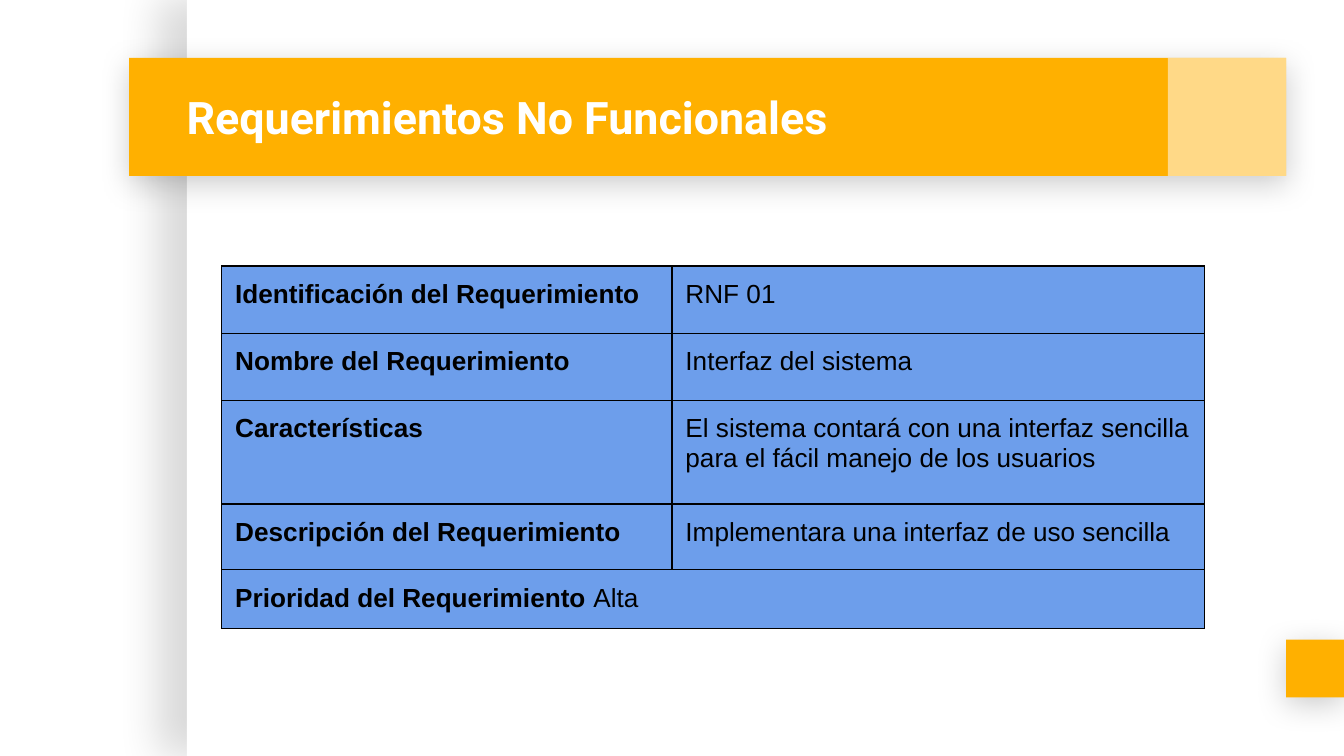
from lxml.etree import SubElement
from pptx import Presentation
from pptx.dml.color import RGBColor
from pptx.enum.shapes import MSO_SHAPE as Shape
from pptx.enum.text import MSO_ANCHOR as Anchor
from pptx.oxml import parse_xml
from pptx.oxml.ns import nsdecls, qn
from pptx.util import Inches, Pt

AMBER, WHITE, BLACK, BLUE = "FFB000", "FFFFFF", "000000", "6D9EEB"
LOW = (20, 16.9, 3.8, 90)
SIDE = (15, 22.5, 15, 180)


def paint(fill, color, alpha=None):
    """Fill solidly with a hex colour, at an optional percent opacity."""
    fill.solid()
    fill.fore_color.rgb = RGBColor.from_string(color)
    if alpha:
        tint = fill._xPr.find(qn("a:solidFill"))[0]
        SubElement(tint, qn("a:alpha"), val=str(alpha * 1000))


def style(run, size, font, color, bold):
    """Set the font of a run."""
    run.font.size, run.font.name, run.font.bold = Pt(size), font, bold
    run.font.color.rgb = RGBColor.from_string(color)


def add_box(slide, x, y, w, h, color, alpha=None, shade=None):
    """Add a plain rectangle, with an optional shadow."""
    box = slide.shapes.add_shape(Shape.RECTANGLE, Inches(x), Inches(y), Inches(w), Inches(h))
    paint(box.fill, color, alpha)
    box.line.fill.background()
    box.shadow.inherit = False
    if shade:
        part, blur, dist, turn = shade
        box._element.spPr.find(qn("a:effectLst")).append(parse_xml(
            f'<a:outerShdw {nsdecls("a")} blurRad="{Pt(blur)}" dist="{Pt(dist)}" '
            f'dir="{turn * 60000}" algn="bl" rotWithShape="0">'
            f'<a:srgbClr val="{BLACK}"><a:alpha val="{part * 1000}"/></a:srgbClr></a:outerShdw>'))


def add_title(slide, text):
    """Add the heading over the amber band."""
    box = slide.shapes.add_textbox(Inches(1.29), Inches(0.43), Inches(7.37), Inches(0.88))
    frame = box.text_frame
    frame.word_wrap = True
    frame.vertical_anchor = Anchor.MIDDLE
    frame.margin_left = frame.margin_right = Inches(0.1)
    frame.margin_top = frame.margin_bottom = Inches(0.1)
    frame.text = text
    style(frame.paragraphs[0].runs[0], 24, "Roboto", WHITE, True)


def set_cell(cell, parts):
    """Write runs of text and bold flag into a blue cell with black borders."""
    cell.margin_left = cell.margin_right = Inches(0.1)
    cell.margin_top = cell.margin_bottom = Inches(0.1)
    for text, bold in parts:
        run = cell.text_frame.paragraphs[0].add_run()
        run.text = text
        style(run, 14, "Arial", BLACK, bold)
    paint(cell.fill, BLUE)
    props = cell._tc.get_or_add_tcPr()
    for spot, side in enumerate("LRTB"):
        props.insert(spot, parse_xml(
            f'<a:ln{side} {nsdecls("a")} w="{Pt(0.75)}"><a:solidFill>'
            f'<a:srgbClr val="{BLACK}"/></a:solidFill></a:ln{side}>'))


def add_grid(slide, y, cols, rows, cells):
    """Add a table of the given column widths and row heights."""
    grid = slide.shapes.add_table(len(rows), len(cols), Inches(1.65), Inches(y),
                                  Inches(sum(cols)), Inches(sum(rows))).table
    grid.first_row = grid.horz_banding = False
    for col, width in zip(grid.columns, cols):
        col.width = Inches(width)
    for row, height, line in zip(grid.rows, rows, cells):
        row.height = Inches(height)
        for cell, parts in zip(row.cells, line):
            set_cell(cell, parts)


def main():
    """Build the slide and save it."""
    deck = Presentation()
    deck.slide_width = Inches(10)
    deck.slide_height = deck.slide_width * 9 // 16
    slide = deck.slides.add_slide(deck.slide_layouts[6])
    add_box(slide, 1.39, 0, 8.61, deck.slide_height.inches, WHITE, shade=SIDE)
    add_box(slide, 9.57, 4.76, 0.43, 0.43, AMBER, shade=LOW)
    add_box(slide, 0.96, 0.43, 8.61, 0.88, AMBER, shade=LOW)
    add_box(slide, 8.69, 0.43, 0.88, 0.88, WHITE, alpha=53)
    add_title(slide, "Requerimientos No Funcionales")
    facts = [
        ("Identificación del Requerimiento", "RNF 01"),
        ("Nombre del Requerimiento", "Interfaz del sistema"),
        ("Características",
         "El sistema contará con una interfaz sencilla para el fácil manejo de los usuarios"),
        ("Descripción del Requerimiento", "Implementara una interfaz de uso sencilla"),
    ]
    cells = [([(name, True)], [(value, False)]) for name, value in facts]
    add_grid(slide, 1.98, [3.35, 3.96], [0.5, 0.5, 0.77, 0.5], cells)
    rank = [("Prioridad del Requerimiento ", True), ("Alta", False)]
    add_grid(slide, 4.24, [7.31], [0.42], [[rank]])
    deck.save("out.pptx")


if __name__ == "__main__":
    main()
